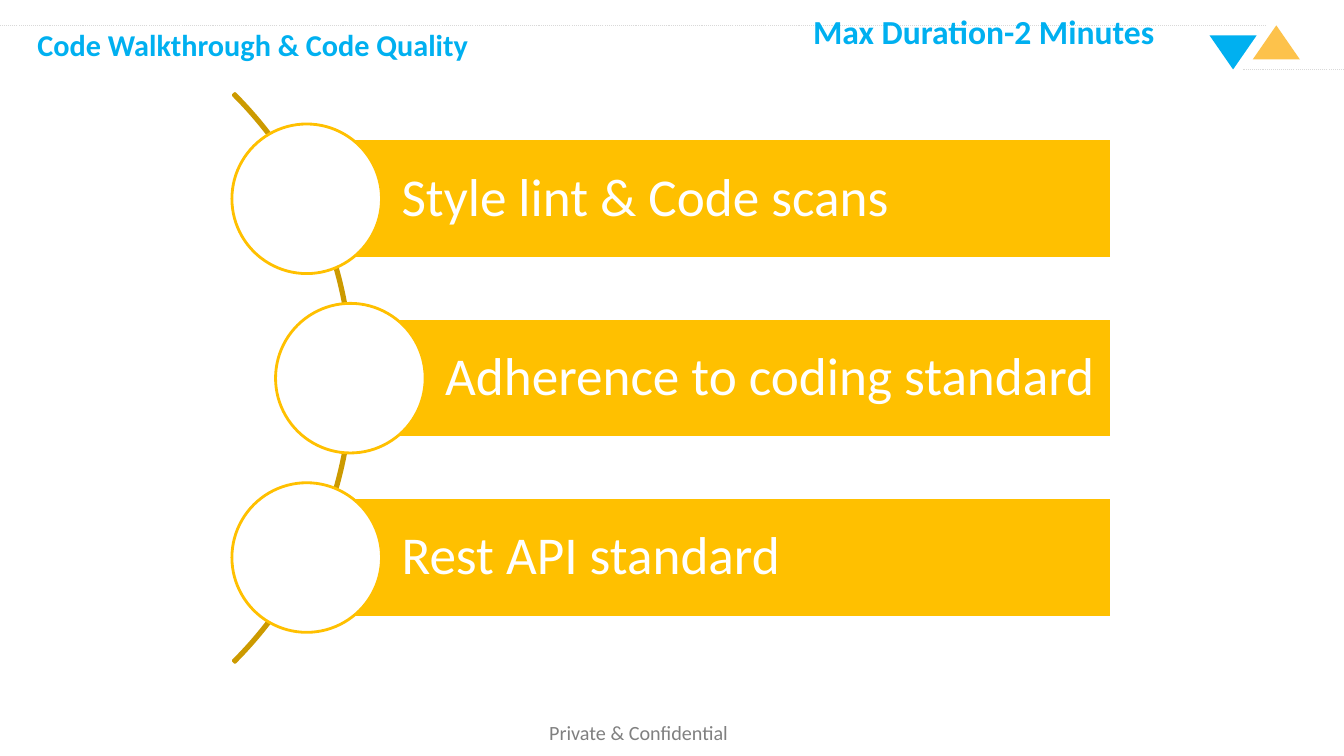
from lxml import etree
from pptx import Presentation
from pptx import util as u
from pptx.dml.color import RGBColor
from pptx.enum import dml, shapes, text
from pptx.oxml.ns import qn

GOLD, BLUE, WHITE = "FFC000", "00B0F0", "FFFFFF"


def paint(colour_format, colour):
    colour_format.rgb = RGBColor.from_string(colour)


def write(frame, wording, size, colour, bold=False):
    frame.word_wrap = True
    frame.auto_size = text.MSO_AUTO_SIZE.NONE
    paragraph = frame.paragraphs[0]
    paragraph.text = wording
    paragraph.alignment = text.PP_ALIGN.LEFT
    paragraph.font.name = "Calibri"
    paragraph.font.size = u.Pt(size)
    paragraph.font.bold = bold
    paint(paragraph.font.color, colour)
    return paragraph


deck = Presentation()
deck.slide_width, deck.slide_height = u.Cm(33.87), u.Cm(19.05)
slide = deck.slides.add_slide(deck.slide_layouts[5])

for start, end, height in [(31.9, 0, 0.64), (33.87, 31.32, 1.75)]:
    rule = slide.shapes.add_connector(
        shapes.MSO_CONNECTOR.STRAIGHT, u.Cm(start), u.Cm(height), u.Cm(end), u.Cm(height))
    paint(rule.line.color, "D9D9D9")
    rule.line.width = u.Pt(0.75)
    rule.line.dash_style = dml.MSO_LINE.ROUND_DOT
    etree.SubElement(rule._element.spPr, qn("a:effectLst"))

for left, top, turn, colour in [(31.57, 0.64, 0, "FDC24B"), (30.48, 0.89, 180, BLUE)]:
    triangle = slide.shapes.add_shape(
        shapes.MSO_SHAPE.ISOSCELES_TRIANGLE, u.Cm(left), u.Cm(top), u.Cm(1.19), u.Cm(0.86))
    triangle.rotation = turn
    triangle.shadow.inherit = False
    triangle.fill.solid()
    paint(triangle.fill.fore_color, colour)
    triangle.line.fill.background()

heading = slide.shapes.title
heading.left, heading.top, heading.width, heading.height = (
    u.Cm(0.69), u.Cm(0.53), u.Cm(15.9), u.Cm(1.19))
heading.text_frame.vertical_anchor = text.MSO_ANCHOR.MIDDLE
write(heading.text_frame, "Code Walkthrough & Code Quality", 21.6, BLUE, True)

duration = slide.shapes.add_textbox(u.Cm(20.24), u.Cm(0.27), u.Cm(10.24), u.Cm(1.19))
write(duration.text_frame, "Max Duration-2 Minutes", 24, BLUE, True).line_spacing = 0.9

confidentiality = slide.shapes.add_textbox(u.Cm(13.59), u.Cm(18.03), u.Cm(6.71), u.Cm(1.02))
write(confidentiality.text_frame, "Private & Confidential", 14.4, "808080")

arc = slide.shapes.add_shape(
    shapes.MSO_SHAPE.BLOCK_ARC, u.Cm(-11.38), u.Cm(-0.61), u.Cm(20.27), u.Cm(20.27))
for index, value in enumerate([189, 27, 0.003]):
    arc.adjustments[index] = value
arc.shadow.inherit = False
arc.fill.background()
paint(arc.line.color, "CC9A00")
arc.line.width = u.Pt(2)

BAR_RIGHT, BAR_HEIGHT, DISC, STEP = 28, 3.01, 3.77, 4.52
topics = [
    ("Style lint & Code scans", 7.73),
    ("Adherence to coding standard", 8.83),
    ("Rest API standard", 7.73),
]
for row, (topic, left) in enumerate(topics):
    middle = 9.53 + (row - 1) * STEP
    bar = slide.shapes.add_shape(
        shapes.MSO_SHAPE.RECTANGLE, u.Cm(left), u.Cm(middle - BAR_HEIGHT / 2),
        u.Cm(BAR_RIGHT - left), u.Cm(BAR_HEIGHT))
    disc = slide.shapes.add_shape(
        shapes.MSO_SHAPE.OVAL, u.Cm(left - DISC / 2), u.Cm(middle - DISC / 2),
        u.Cm(DISC), u.Cm(DISC))
    for part, fill, outline in [(bar, GOLD, WHITE), (disc, WHITE, GOLD)]:
        part.shadow.inherit = False
        part.fill.solid()
        paint(part.fill.fore_color, fill)
        paint(part.line.color, outline)
        part.line.width = u.Pt(2)
    label = bar.text_frame
    label.margin_left = u.Cm(2.39)
    label.margin_top = label.margin_right = label.margin_bottom = u.Cm(0.27)
    label.vertical_anchor = text.MSO_ANCHOR.MIDDLE
    write(label, topic, 38, WHITE).line_spacing = 0.9

deck.save("out.pptx")
